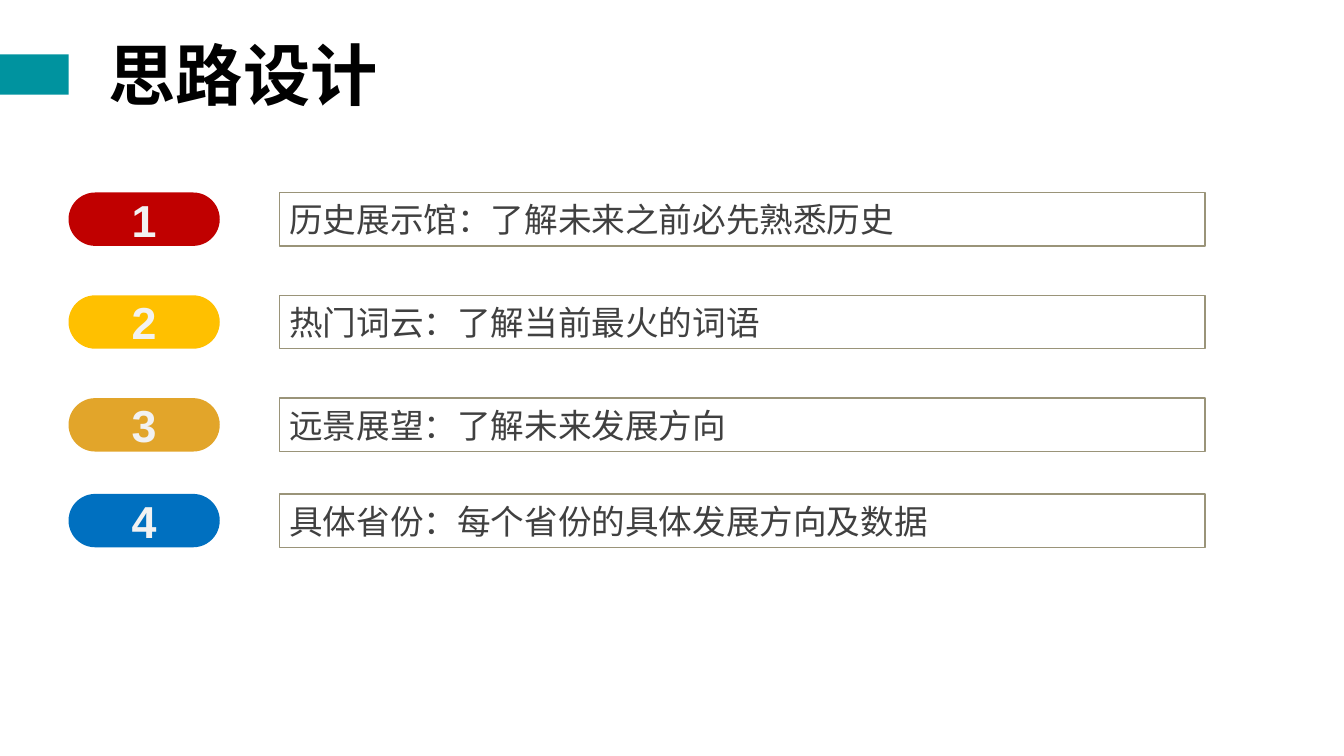
from pptx import Presentation
from pptx import util as u
from pptx.dml.color import RGBColor
from pptx.enum import shapes, text


def colour(value):
    return RGBColor.from_string(value)


class Board:
    """Style and current slide; lengths are cells of a 0.1 inch grid."""
    cell = u.Inches(0.1)
    font = "Arial"

    def __init__(self, page):
        self.page = page

    def place(self, *lengths):
        return [round(length * self.cell) for length in lengths]

    def label(self, box, words, size, ink, bold=False, align=text.PP_ALIGN.LEFT):
        para = box.text_frame.paragraphs[0]
        para.text = words
        para.alignment = align
        para.font.name = self.font
        para.font.size = u.Pt(size)
        para.font.bold = bold
        para.font.color.rgb = colour(ink)

    def title(self, words, *area):
        box = self.page.shapes.add_textbox(*self.place(*area))
        box.text_frame.word_wrap = False
        box.text_frame.auto_size = text.MSO_AUTO_SIZE.SHAPE_TO_FIT_TEXT
        self.label(box, words, 48, "000000", bold=True)

    def block(self, kind, *area, fill=None, line=None):
        box = self.page.shapes.add_shape(kind, *self.place(*area))
        box.shadow.inherit = False
        if fill:
            box.fill.solid()
            box.fill.fore_color.rgb = colour(fill)
        else:
            box.fill.background()
        if line:
            box.line.color.rgb = colour(line)
            box.line.width = u.Pt(1)
        else:
            box.line.fill.background()
        box.text_frame.vertical_anchor = text.MSO_ANCHOR.MIDDLE
        return box

    def bar(self, *area, fill):
        self.block(shapes.MSO_SHAPE.RECTANGLE, *area, fill=fill)

    def badge(self, words, *area, fill):
        box = self.block(shapes.MSO_SHAPE.ROUNDED_RECTANGLE, *area, fill=fill)
        box.adjustments[0] = 0.5
        self.label(box, words, 32, "F2F2F2", bold=True, align=text.PP_ALIGN.CENTER)

    def frame(self, words, *area):
        box = self.block(shapes.MSO_SHAPE.RECTANGLE, *area, line="9A9479")
        self.label(box, words, 24, "404040")


def main():
    deck = Presentation()
    deck.slide_width, deck.slide_height = u.Inches(13.33), u.Inches(7.5)
    board = Board(deck.slides.add_slide(deck.slide_layouts[6]))

    # Heading
    board.bar(0, 5.4, 6.8, 4, fill="00939F")
    board.title("思路设计", 9.8, 2.8, 28.9, 9.1)

    # Numbered topics: row, badge colour, wording
    topics = [
        (19.1, "C00000", "历史展示馆：了解未来之前必先熟悉历史"),
        (29.3, "FFC000", "热门词云：了解当前最火的词语"),
        (39.5, "E2A52A", "远景展望：了解未来发展方向"),
        (49, "0070C0", "具体省份：每个省份的具体发展方向及数据"),
    ]
    for number, (row, fill, words) in enumerate(topics, 1):
        board.badge(str(number), 6.8, row, 15, 5.3, fill=fill)
        board.frame(words, 27.7, row, 91.8, 5.3)

    deck.save("out.pptx")


if __name__ == "__main__":
    main()
